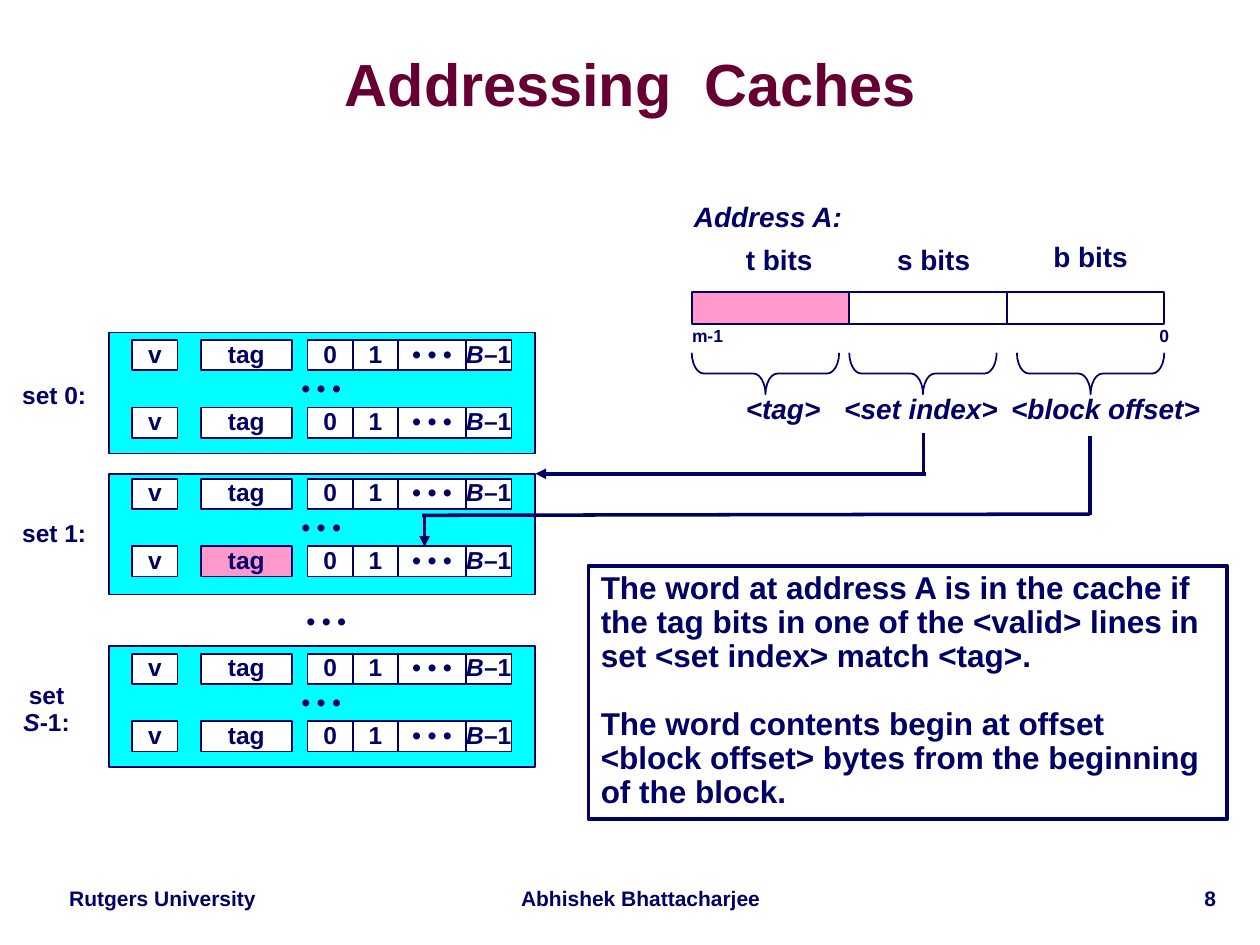
from lxml.etree import SubElement
from pptx import Presentation
from pptx.dml.color import RGBColor
from pptx.enum.shapes import MSO_CONNECTOR, MSO_SHAPE
from pptx.enum.text import MSO_ANCHOR, PP_ALIGN
from pptx.oxml.ns import qn
from pptx.util import Inches, Pt

COLS, ROWS = 100, 75
WIDTH, HEIGHT = Inches(10), Inches(7.5)
NAVY, MAROON, CYAN, PINK, WHITE = "000066", "660033", "00FFFF", "FF99CC", "FFFFFF"
DOTS = [("• • •", False)]
CELL_H, LINE_PITCH = 2.4, 5.35
CELLS = [
    (10.5, 3.6, [("v", False)]),
    (15.95, 7.2, [("tag", False)]),
    (24.4, 3.6, [("0", False)]),
    (28, 3.6, [("1", False)]),
    (31.6, 5.4, DOTS),
    (37, 3.6, [("B", True), ("–1", False)]),
]


def color(value):
    return RGBColor.from_string(value)


def x(cols):
    return round(WIDTH * cols / COLS)


def y(rows):
    return round(HEIGHT * rows / ROWS)


def box(col, row, cols, rows):
    return x(col), y(row), x(cols), y(rows)


def add_paragraph(p, runs, size, ink=NAVY, align=PP_ALIGN.CENTER, spacing=0.9):
    p.alignment = align
    p.line_spacing = spacing
    for text, italic in runs:
        r = p.add_run()
        r.text = text
        r.font.name = "Arial"
        r.font.size = Pt(size)
        r.font.bold = True
        r.font.italic = italic
        r.font.color.rgb = color(ink)


def add_label(s, place, runs, size, anchor=MSO_ANCHOR.MIDDLE, wrap=False, **style):
    sp = s.shapes.add_textbox(*box(*place))
    tf = sp.text_frame
    tf.word_wrap = wrap
    tf.vertical_anchor = anchor
    add_paragraph(tf.paragraphs[0], runs, size, **style)
    return tf


def add_outline(s, kind, place, fill=None, weight=1):
    sp = s.shapes.add_shape(kind, *box(*place))
    sp.shadow.inherit = False
    if fill:
        sp.fill.solid()
        sp.fill.fore_color.rgb = color(fill)
    else:
        sp.fill.background()
    sp.line.color.rgb = color(NAVY)
    sp.line.width = Pt(weight)
    return sp


def add_cell(s, place, runs, fill):
    tf = add_outline(s, MSO_SHAPE.RECTANGLE, place, fill).text_frame
    tf.word_wrap = False
    tf.vertical_anchor = MSO_ANCHOR.MIDDLE
    add_paragraph(tf.paragraphs[0], runs, 14)


def add_line(s, start, end, arrow=False):
    c = s.shapes.add_connector(
        MSO_CONNECTOR.STRAIGHT, x(start[0]), y(start[1]), x(end[0]), y(end[1])
    )
    c.line.color.rgb = color(NAVY)
    c.line.width = Pt(2)
    if arrow:
        SubElement(c.line._get_or_add_ln(), qn("a:tailEnd"), type="triangle")
    SubElement(c._element.spPr, qn("a:effectLst"))


def add_set(s, panel_top, line_top, label, label_place, matched=False):
    add_outline(s, MSO_SHAPE.RECTANGLE, (8.65, panel_top, 33.8, 9.6), CYAN)
    for line in range(2):
        row = line_top + line * LINE_PITCH
        for index, (col, cols, runs) in enumerate(CELLS):
            hit = matched and line == 1 and index == 1
            add_cell(s, (col, row, cols, CELL_H), runs, PINK if hit else WHITE)
    label_col, label_cols = label_place
    add_label(s, (label_col, line_top + 2.8, label_cols, 3.3), label, 14)
    add_label(s, (22.8, line_top + 2.75, 5.4, CELL_H), DOTS, 14)


def add_address(s):
    add_label(s, (54, 15.5, 13.9, 3.7), [("Address A:", True)], 16)
    fields = [
        ("t bits", 58.2, 19.1, 7.3, PINK, "<tag>", 58.2, 7.9, 59.1),
        ("s bits", 70.2, 19.1, 7.8, None, "<set index>", 66, 14.2, 71.6),
        ("b bits", 82.6, 18.8, 7.9, None, "<block offset>", 79.2, 17.1, 84.9),
    ]
    for i, (bits, col, row, cols, fill, name, name_col, name_cols, brace) in enumerate(fields):
        add_label(s, (col, row, cols, 3.6), [(bits, False)], 16, MSO_ANCHOR.TOP)
        add_outline(s, MSO_SHAPE.RECTANGLE, (54.9 + i * 12.5, 23.2, 12.5, 2.5), fill)
        add_label(s, (name_col, 30.9, name_cols, 3.6), [(name, True)], 16, MSO_ANCHOR.TOP)
        sp = add_outline(s, MSO_SHAPE.RIGHT_BRACE, (brace, 23.8, 3.3, 11.7))
        sp.rotation = 90
        sp.adjustments[0] = 0.29
    add_label(s, (53.9, 25.4, 4.5, 2.7), [("m-1", False)], 10)
    add_label(s, (91, 25.4, 2.8, 2.7), [("0", False)], 10)


def add_note(s, place, blocks):
    tf = add_outline(s, MSO_SHAPE.RECTANGLE, place, weight=2).text_frame
    tf.word_wrap = False
    tf.vertical_anchor = MSO_ANCHOR.TOP
    p = tf.paragraphs[0]
    for i, lines in enumerate(blocks):
        for j, text in enumerate(lines):
            if i or j:
                p = tf.add_paragraph()
            add_paragraph(p, [(text, False)], 18, align=PP_ALIGN.LEFT)
            if i and not j:
                p.space_before = Pt(19.5)


def add_frame(s):
    tf = add_label(s, (3.1, 2.7, 93.9, 8.5), [("Addressing  Caches", False)], 34,
                   wrap=True, ink=MAROON, spacing=0.87)
    tf.margin_left = tf.margin_right = tf.margin_top = tf.margin_bottom = 0
    for text, col, cols, align in [
        ("Rutgers University", 3.3, 19.2, PP_ALIGN.CENTER),
        ("Abhishek Bhattacharjee", 40, 21.7, PP_ALIGN.CENTER),
        ("8", 81.7, 15.8, PP_ALIGN.RIGHT),
    ]:
        add_label(s, (col, 70, cols, 2.8), [(text, False)], 12,
                  MSO_ANCHOR.TOP, wrap=True, align=align)


def main():
    prs = Presentation()
    prs.slide_width, prs.slide_height = WIDTH, HEIGHT
    s = prs.slides.add_slide(prs.slide_layouts[6])
    add_frame(s)
    add_address(s)
    add_set(s, 26.4, 27, [("set 0:", False)], (0.75, 7.1))
    add_set(s, 37.6, 38, [("set 1:", False)], (0.75, 7.1), matched=True)
    add_set(s, 51.3, 51.9, [("set ", False), ("S", True), ("-1:", False)], (-0.8, 9))
    add_label(s, (23.2, 48.2, 5.4, CELL_H), DOTS, 14)
    add_line(s, (73.3, 34.4), (73.3, 37.8))
    add_line(s, (73.5, 37.6), (42.5, 37.6), arrow=True)
    add_line(s, (86.5, 34.6), (86.5, 40.9))
    add_line(s, (86.5, 40.8), (33.5, 40.9))
    add_line(s, (33.7, 41), (33.7, 43.4), arrow=True)
    add_note(s, (46.7, 44.9, 50.7, 20.1), [
        [
            "The word at address A is in the cache if",
            "the tag bits in one of the <valid> lines in",
            "set <set index> match <tag>.",
        ],
        [
            "The word contents begin at offset",
            "<block offset> bytes from the beginning",
            "of the block.",
        ],
    ])
    prs.save("out.pptx")


if __name__ == "__main__":
    main()
